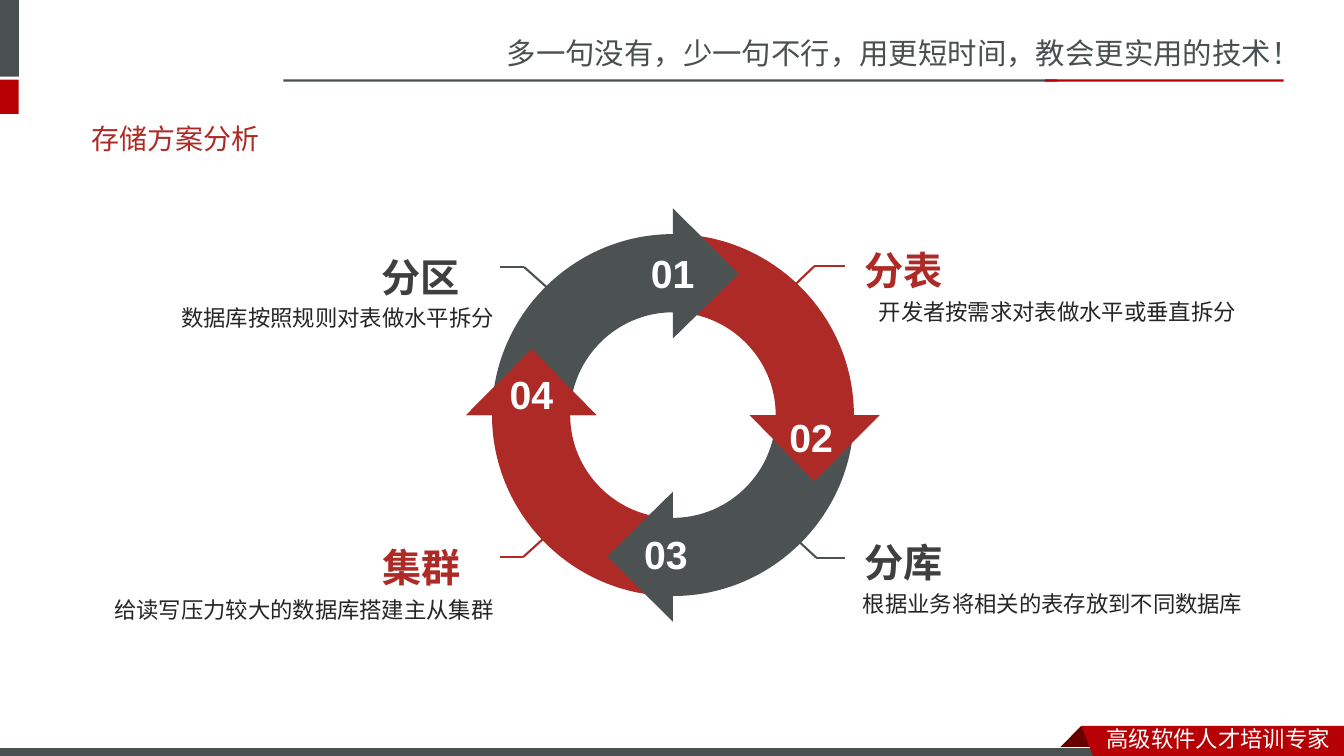
from dataclasses import dataclass

from lxml import etree
from pptx import Presentation
from pptx.dml.color import RGBColor
from pptx.enum.shapes import MSO_CONNECTOR, MSO_SHAPE
from pptx.enum.text import MSO_ANCHOR, PP_ALIGN
from pptx.oxml.ns import qn
from pptx.util import Cm, Pt


@dataclass(frozen=True)
class Theme:
    slate: str = "49504F"
    crimson: str = "B60004"
    maroon: str = "680000"
    ring_grey: str = "4C5252"
    ring_red: str = "AD2A26"
    title_red: str = "AD2B26"
    heading_grey: str = "3F3F3F"
    body: str = "262626"
    white: str = "FFFFFF"
    latin: str = "Arial"
    chinese: str = "Noto Sans CJK SC"
    title_font: str = "Noto Sans CJK JP"
    slogan_size: float = 21
    title_size: float = 20
    heading_size: float = 28
    body_size: float = 16


theme = Theme()

presentation = Presentation()
presentation.slide_width = Cm(33.87)
presentation.slide_height = Cm(19.05)
slide = presentation.slides.add_slide(presentation.slide_layouts[6])
shapes = slide.shapes


def add_text(text, box, size, color, font=theme.chinese, bold=False,
             align=PP_ALIGN.LEFT, wrap=True, spacing=1.0):
    text_box = shapes.add_textbox(*map(Cm, box))
    frame = text_box.text_frame
    frame.word_wrap = wrap
    paragraph = frame.paragraphs[0]
    paragraph.text = text
    paragraph.alignment = align
    paragraph.line_spacing = spacing
    paragraph.font.size = Pt(size)
    paragraph.font.bold = bold
    paragraph.font.color.rgb = RGBColor.from_string(color)
    paragraph.font.name = font
    properties = paragraph._p.find(qn("a:pPr")).find(qn("a:defRPr"))
    east_asian = theme.chinese if font == theme.latin else font
    etree.SubElement(properties, qn("a:ea")).set("typeface", east_asian)
    return frame


def add_outline(points, color, curve_starts=()):
    """Draw a closed outline; three segments from each curve start become one Bézier."""
    corners = [(Cm(x), Cm(y)) for x, y in points]
    builder = shapes.build_freeform(*corners[0], scale=1.0)
    builder.add_line_segments(corners[1:], close=True)
    shape = builder.convert_to_shape()
    shape.shadow.inherit = False
    shape.fill.solid()
    shape.fill.fore_color.rgb = RGBColor.from_string(color)
    shape.line.fill.background()
    segments = list(shape._element.iter(qn("a:lnTo")))
    for start in curve_starts:
        curve = etree.Element(qn("a:cubicBezTo"))
        segments[start].addprevious(curve)
        for segment in segments[start:start + 3]:
            curve.append(segment[0])
            segment.getparent().remove(segment)


# Page frame: slogan, side blocks, rules and footer ribbon
add_text("多一句没有，少一句不行，用更短时间，教会更实用的技术！",
         (12.52, 0.75, 21.36, 1.19), theme.slogan_size, theme.slate)

add_outline([(27.25, 18.29), (27.81, 18.85), (26.7, 18.85)], theme.maroon)
for box, color, outlined in [
    ((-0.15, 0, 0.63, 1.93), theme.slate, False),
    ((-0.15, 2.01, 0.62, 0.86), theme.crimson, False),
    ((7.14, 2, 19.5, 0.06), theme.slate, False),
    ((26.34, 2, 6.01, 0.06), theme.crimson, False),
    ((-0.03, 18.83, 27.94, 0.3), theme.slate, True),
]:
    bar = shapes.add_shape(MSO_SHAPE.RECTANGLE, *map(Cm, box))
    bar.shadow.inherit = False
    bar.fill.solid()
    bar.fill.fore_color.rgb = RGBColor.from_string(color)
    if outlined:
        bar.line.color.rgb = RGBColor.from_string(theme.white)
        bar.line.width = Pt(0.75)
    else:
        bar.line.fill.background()

add_outline([(27.25, 18.29), (33.87, 18.29), (33.87, 19.15), (27.58, 19.13)],
            theme.crimson)
add_text("高级软件人才培训专家", (27.64, 18.16, 6.22, 0.94),
         theme.body_size, theme.white)
add_text("存储方案分析", (2.06, 2.93, 29.72, 1.45), theme.title_size,
         theme.title_red, theme.title_font)

# Leader lines: from the ring to a bend, then out to the heading
for ring_end, bend, text_end, color in [
    ((13.87, 7.32), (13.21, 6.73), (12.59, 6.73), theme.ring_grey),
    ((19.86, 7.34), (20.52, 6.71), (21.29, 6.71), theme.ring_red),
    ((13.84, 13.44), (13.18, 14.04), (12.59, 14.04), theme.ring_red),
    ((19.91, 13.44), (20.57, 14.05), (21.29, 14.05), theme.ring_grey),
]:
    for start, end in [(ring_end, bend), (bend, text_end)]:
        leader = shapes.add_connector(MSO_CONNECTOR.STRAIGHT, *map(Cm, start + end))
        leader.line.color.rgb = RGBColor.from_string(color)
        leader.line.width = Pt(1.5)
        etree.SubElement(leader._element.spPr, qn("a:effectLst"))

# Ring of four quarter arrows, each the first one turned by a quarter
center_x, center_y = 16.96, 10.46
outer, inner = 4.56, 2.59
handle = 0.55  # Bézier handle length of a quarter circle, per unit of radius
head = [(0, -5.21), (1.66, -3.56), (0, -1.93)]
quarter = [
    (-outer, 0), (-outer, -handle * outer), (-handle * outer, -outer), (0, -outer),
    *head,
    (0, -inner), (-handle * inner, -inner), (-inner, -handle * inner), (-inner, 0),
]
arcs = (0, 7)
quarter_turns = [(1, 0), (0, 1), (-1, 0), (0, -1)]  # cosine and sine

# The last head is laid over the first arrow again to close the cycle
for turns, outline, curve_starts in [
    (3, quarter, arcs), (2, quarter, arcs), (1, quarter, arcs), (0, quarter, arcs),
    (3, head, ()),
]:
    cosine, sine = quarter_turns[turns]
    add_outline([(center_x + x * cosine - y * sine, center_y + x * sine + y * cosine)
                 for x, y in outline],
                theme.ring_red if turns % 2 else theme.ring_grey, curve_starts)

for number, (left, top) in enumerate(
        [(16.34, 6.27), (19.83, 10.41), (16.17, 13.36), (12.78, 9.32)], start=1):
    frame = add_text(f"{number:02d}", (left, top, 1.22, 1.19), theme.heading_size,
                     theme.white, theme.latin, True, PP_ALIGN.CENTER, False)
    frame.vertical_anchor = MSO_ANCHOR.BOTTOM
    frame.margin_left = frame.margin_right = frame.margin_top = frame.margin_bottom = 0

# Heading and description beside each quarter
for heading, color, heading_at, description, description_box, align in [
    ("分表", theme.ring_red, (21.53, 5.72), "开发者按需求对表做水平或垂直拆分",
     (21.53, 7.32, 10.24, 0.97), PP_ALIGN.CENTER),
    ("分库", theme.heading_grey, (21.53, 13.08), "根据业务将相关的表存放到不同数据库",
     (21.29, 14.68, 10.49, 0.97), PP_ALIGN.CENTER),
    ("集群", theme.ring_red, (9.38, 13.2), "给读写压力较大的数据库搭建主从集群",
     (2.21, 14.83, 10.49, 0.97), PP_ALIGN.RIGHT),
    ("分区", theme.heading_grey, (9.37, 5.9), "数据库按照规则对表做水平拆分",
     (3.3, 7.47, 9.4, 0.97), PP_ALIGN.RIGHT),
]:
    add_text(heading, (*heading_at, 2.51, 1.65), theme.heading_size, color,
             theme.latin, True, wrap=False, spacing=1.3)
    add_text(description, description_box, theme.body_size, theme.body,
             theme.latin, align=align, spacing=1.1)

presentation.save("out.pptx")
